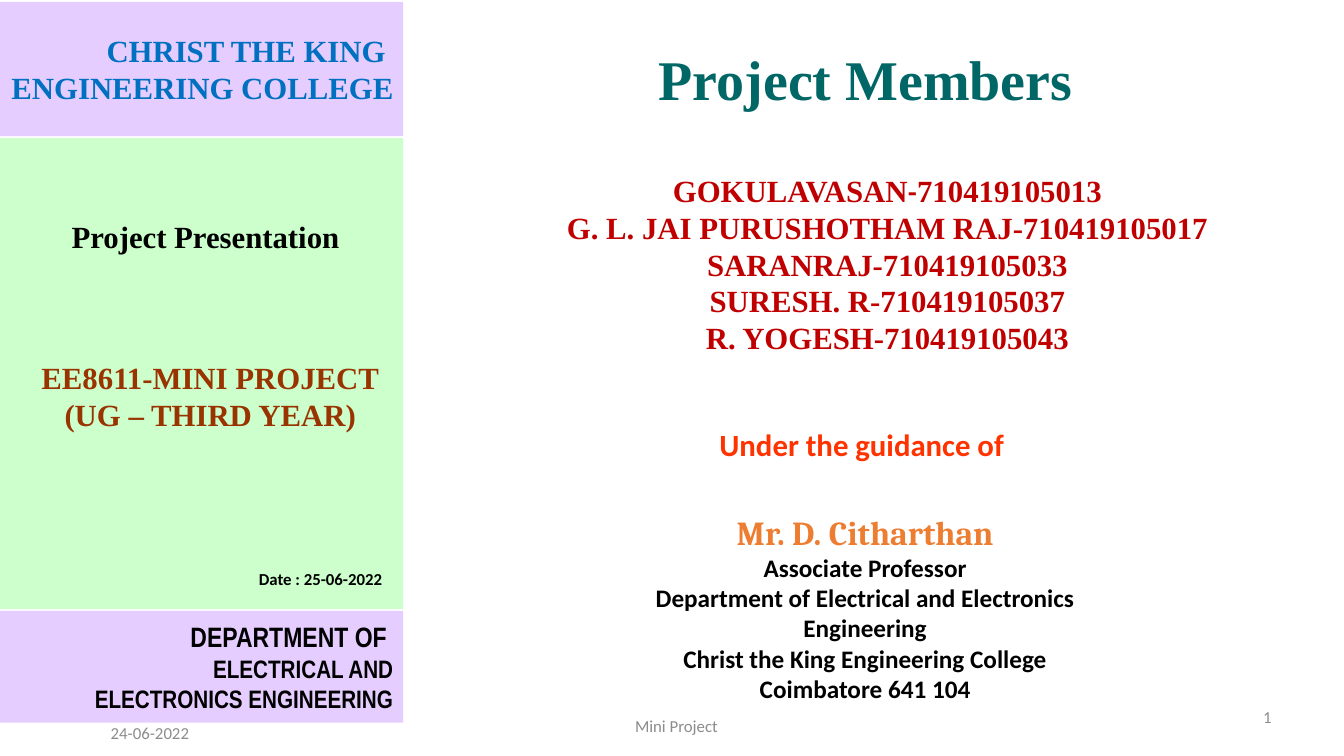
import pptx
import pptx.util
import pptx.dml.color
import pptx.enum.shapes
import pptx.enum.text

Inches, Pt = pptx.util.Inches, pptx.util.Pt
ALIGN = pptx.enum.text.PP_ALIGN
ANCHOR = pptx.enum.text.MSO_ANCHOR
ROMAN, SANS, NARROW, SERIF = "Times New Roman", "Calibri", "Arial Narrow", "Cambria"
COLORS = {
    "lilac": "E6CDFF", "mint": "CCFFCC", "white": "FFFFFF", "black": "000000",
    "blue": "0070C0", "teal": "006666", "brown": "993300", "red": "C00000",
    "flame": "FF3300", "orange": "ED7D31", "gray": "8C8C8C",
}


def color(name):
    return pptx.dml.color.RGBColor.from_string(COLORS[name])


def write(shape, *lines, font=SANS, size=22, ink="black", bold=True,
          align=ALIGN.CENTER, anchor=ANCHOR.TOP, wrap=True, inset=0.05):
    """Fill a shape with lines; a line is a text or a list of (text, format) runs."""
    frame = shape.text_frame
    frame.word_wrap = wrap
    frame.vertical_anchor = anchor
    frame.margin_top = Inches(inset)
    for i, line in enumerate(lines):
        para = frame.paragraphs[0] if i == 0 else frame.add_paragraph()
        para.alignment = align
        for text, own in [(line, {})] if isinstance(line, str) else line:
            run = para.add_run()
            run.text = text
            run.font.name = own.get("font", font)
            run.font.size = Pt(own.get("size", size))
            run.font.bold = bold
            run.font.color.rgb = color(own.get("ink", ink))


def panel(slide, box, fill):
    shape = slide.shapes.add_shape(
        pptx.enum.shapes.MSO_SHAPE.RECTANGLE, *map(Inches, box))
    shape.shadow.inherit = False
    shape.fill.solid()
    shape.fill.fore_color.rgb = color(fill)
    shape.line.fill.background()
    return shape


def label(slide, *box):
    return slide.shapes.add_textbox(*map(Inches, box))


def sidebar(slide, left, top, width):
    """Stack the college, project and department panels."""
    college = panel(slide, (left, top, width, 1.33), "lilac")
    write(college, "CHRIST THE KING ", "ENGINEERING COLLEGE", font=ROMAN,
          ink="blue", align=ALIGN.RIGHT, anchor=ANCHOR.MIDDLE, wrap=False)
    project = panel(slide, (left, top + 1.35, width, 4.67), "mint")
    write(project, " Project Presentation", font=ROMAN, wrap=False, inset=0.79)
    dept = panel(slide, (left, top + 6.04, width, 1.11), "lilac")
    write(dept, [("DEPARTMENT OF ", {"size": 20})], "ELECTRICAL AND",
          " ELECTRONICS ENGINEERING", font=NARROW, size=18,
          align=ALIGN.RIGHT, anchor=ANCHOR.MIDDLE, wrap=False)
    write(label(slide, left + 0.17, top + 3.49, width - 0.17, 0.84),
          "EE8611-MINI PROJECT", "(UG – THIRD YEAR)", font=ROMAN, ink="brown")
    write(label(slide, left + 2.22, top + 5.57, 1.92, 0.3),
          "Date : 25-06-2022", size=12)


def members(slide, left, top):
    title = panel(slide, (left + 0.73, top, 6.17, 0.83), "white")
    write(title, "Project Members", font=ROMAN, size=40, ink="teal", inset=0.33)
    write(label(slide, left, top + 1.02, 8.06, 2.46),
          [("GOKULAVASAN", {}), ("-", {"font": SERIF}), ("710419105013", {})],
          "G. L. JAI PURUSHOTHAM RAJ-710419105017", "SARANRAJ-710419105033",
          "SURESH. R-710419105037", "R. YOGESH-710419105043",
          font=ROMAN, ink="red", inset=0.57)


def guide(slide, left, top):
    write(label(slide, left + 0.25, top, 5.08, 0.47),
          "Under the guidance of ", ink="flame")
    write(label(slide, left, top + 0.86, 5.58, 2.02),
          [("Mr. D. Citharthan", {"font": SERIF, "size": 24, "ink": "orange"})],
          "Associate Professor",
          "Department of Electrical and Electronics Engineering",
          "Christ the King Engineering College", "Coimbatore 641 104", size=18)


def footer(slide, top):
    for text, left, drop, width, align in (
            ("24-06-2022", 1, 0.16, 3, ALIGN.LEFT),
            ("Mini Project", 4.46, 0.09, 4.5, ALIGN.CENTER),
            ("1", 9.71, 0, 3, ALIGN.RIGHT)):
        write(label(slide, left, top + drop, width, 0.4), text, size=12,
              ink="gray", bold=False, align=align, anchor=ANCHOR.MIDDLE)


def main():
    deck = pptx.Presentation()
    deck.slide_width, deck.slide_height = Inches(13.33), Inches(7.5)
    slide = deck.slides.add_slide(deck.slide_layouts[6])
    sidebar(slide, 0, 0.02, 4)
    members(slide, 4.77, 0.11)
    guide(slide, 5.79, 4.17)
    footer(slide, 6.91)
    deck.save("out.pptx")


if __name__ == "__main__":
    main()
